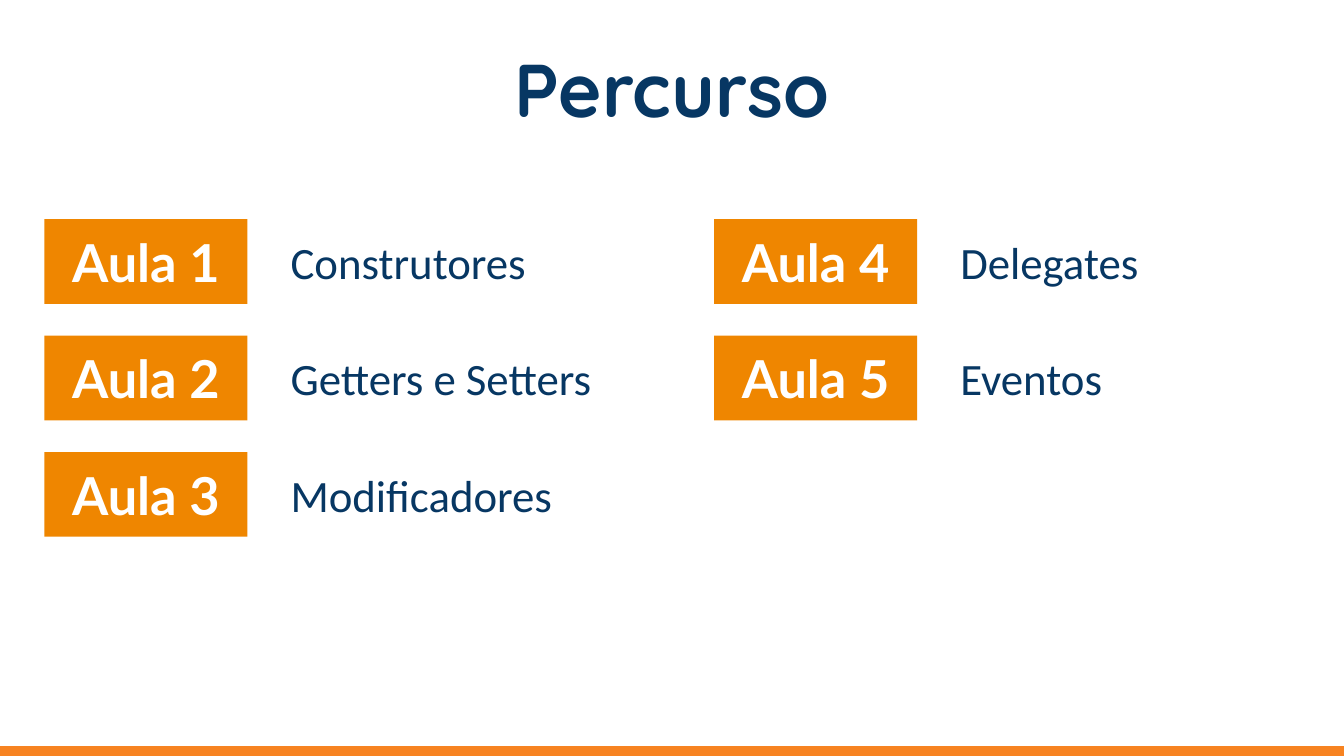
"""Build the "Percurso" slide: a two-column list of lessons."""
from dataclasses import dataclass

from pptx import Presentation
from pptx import util as u
from pptx.dml.color import RGBColor
from pptx.enum import shapes, text
from pptx.shapes.autoshape import Shape
from pptx.slide import Slide

NAVY = RGBColor(0x07, 0x37, 0x63)
ORANGE = RGBColor(0xEF, 0x86, 0x00)
FOOTER_ORANGE = RGBColor(0xF7, 0x83, 0x21)
WHITE = RGBColor(0xFF, 0xFF, 0xFF)

ROWS = 3
LEFT, TOP = 23.8, 117.4
COLUMN_STEP, ROW_STEP = 358.8, 62.4
BADGE_W, BADGE_H = 108.7, 45.4
TOPIC_DX, TOPIC_DY, TOPIC_H = 124.8, 4.6, 36
INDENT = u.Pt(36)


@dataclass(frozen=True)
class Box:
    """Position and size in points."""
    x: float
    y: float
    w: float
    h: float

    def emu(self) -> tuple[u.Length, ...]:
        """Return the four lengths in the order python-pptx expects."""
        return u.Pt(self.x), u.Pt(self.y), u.Pt(self.w), u.Pt(self.h)


@dataclass(frozen=True)
class Style:
    """Look of a single line of text."""
    font: str
    size: float
    color: RGBColor
    bold: bool = False
    align: text.PP_ALIGN = text.PP_ALIGN.LEFT
    anchor: text.MSO_ANCHOR = text.MSO_ANCHOR.TOP
    inset_y: float = 3.6


@dataclass(frozen=True)
class Lesson:
    """Topic of a lesson and the width of its text box."""
    topic: str
    width: float = 213.1


CENTER, MIDDLE = text.PP_ALIGN.CENTER, text.MSO_ANCHOR.MIDDLE
TITLE = Style("Quicksand", 40, NAVY, True, CENTER, MIDDLE, 7.2)
BADGE = Style("Lato", 28, WHITE, True, CENTER, MIDDLE, 7.2)
TOPIC = Style("Calibri", 24, NAVY)

LESSONS = [
    Lesson("Construtores", 192.2),
    Lesson("Getters e Setters"),
    Lesson("Modificadores"),
    Lesson("Delegates", 252.7),
    Lesson("Eventos"),
]


def write(sp: Shape, content: str, style: Style) -> None:
    """Put one styled line of text into a shape."""
    tf = sp.text_frame
    tf.word_wrap = True
    tf.vertical_anchor = style.anchor
    tf.margin_left = tf.margin_right = u.Pt(7.2)
    tf.margin_top = tf.margin_bottom = u.Pt(style.inset_y)
    p = tf.paragraphs[0]
    p.text = content
    p.alignment = style.align
    p.font.name = style.font
    p.font.size = u.Pt(style.size)
    p.font.bold = style.bold
    p.font.color.rgb = style.color


def add_text(s: Slide, box: Box, content: str, style: Style) -> Shape:
    """Add a text box holding one line."""
    sp = s.shapes.add_textbox(*box.emu())
    write(sp, content, style)
    return sp


def add_rect(s: Slide, box: Box, fill: RGBColor) -> Shape:
    """Add a flat rectangle without an outline."""
    sp = s.shapes.add_shape(shapes.MSO_SHAPE.RECTANGLE, *box.emu())
    sp.shadow.inherit = False
    sp.fill.solid()
    sp.fill.fore_color.rgb = fill
    sp.line.fill.background()
    return sp


def add_lesson(s: Slide, index: int, lesson: Lesson) -> None:
    """Add the numbered badge and topic of one lesson."""
    column, row = divmod(index, ROWS)
    x, y = LEFT + column * COLUMN_STEP, TOP + row * ROW_STEP
    badge = add_rect(s, Box(x, y, BADGE_W, BADGE_H), ORANGE)
    write(badge, f"Aula {index + 1}", BADGE)
    box = Box(x + TOPIC_DX, y + TOPIC_DY, lesson.width, TOPIC_H)
    topic = add_text(s, box, lesson.topic, TOPIC)
    pPr = topic.text_frame.paragraphs[0]._p.get_or_add_pPr()
    pPr.set("marL", str(INDENT))
    pPr.set("indent", str(-INDENT))


def main() -> None:
    """Build and save the presentation."""
    prs = Presentation()
    prs.slide_width, prs.slide_height = u.Pt(720), u.Pt(405)
    s = prs.slides.add_slide(prs.slide_layouts[6])
    add_text(s, Box(24.5, 23.8, 671, 46.8), "Percurso", TITLE)
    footer = add_rect(s, Box(0, 399.9, 720, 4.6), FOOTER_ORANGE)
    footer.line.color.rgb = FOOTER_ORANGE
    footer.line.width = u.Pt(0.75)
    for index, lesson in enumerate(LESSONS):
        add_lesson(s, index, lesson)
    prs.save("out.pptx")


if __name__ == "__main__":
    main()
